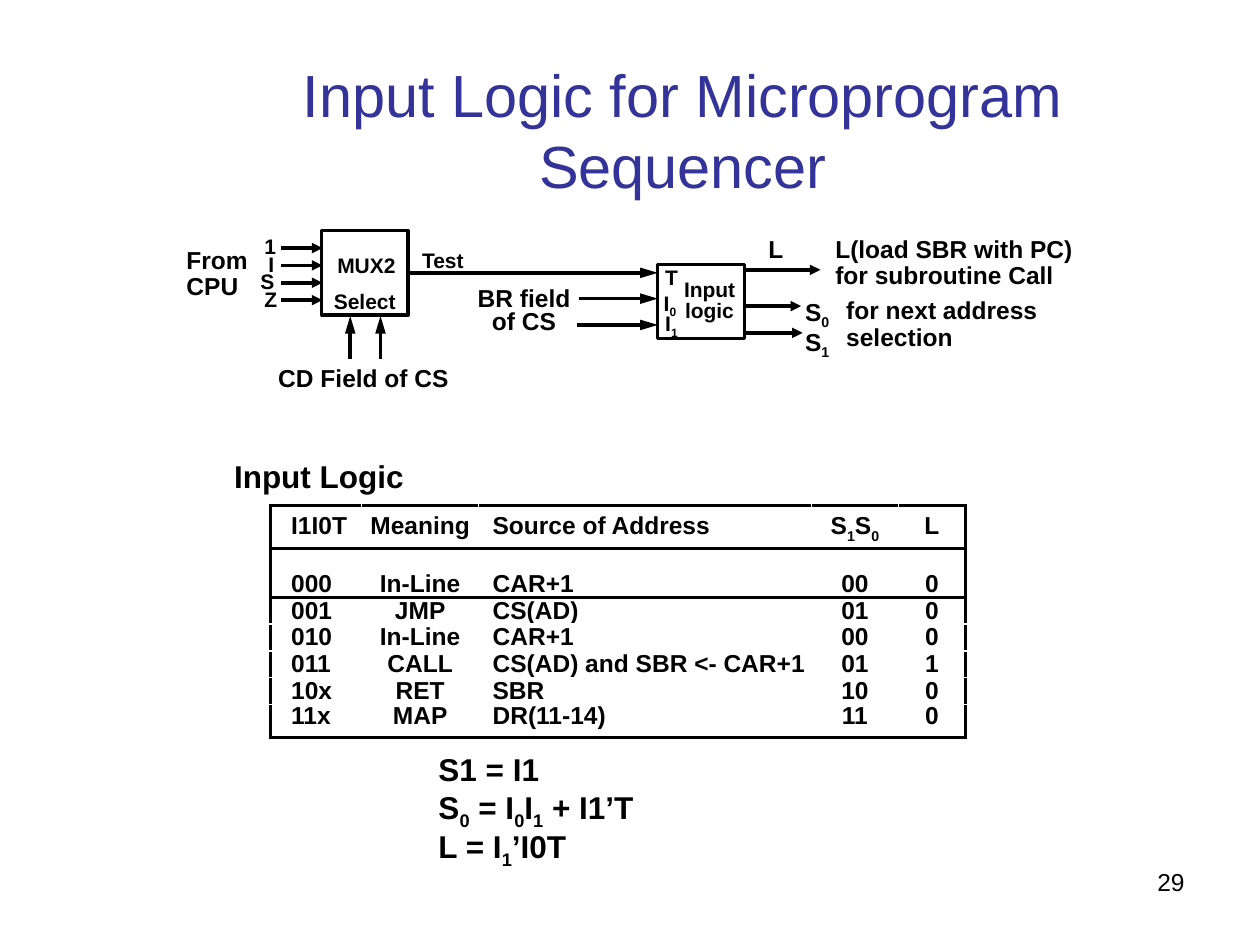
"""Build the slide on the input logic of a microprogram sequencer."""
from lxml import etree
from pptx import Presentation
from pptx.dml.color import RGBColor
from pptx.enum.shapes import MSO_CONNECTOR, MSO_SHAPE
from pptx.enum.text import MSO_ANCHOR, MSO_AUTO_SIZE, PP_ALIGN
from pptx.oxml.ns import qn
from pptx.util import Cm, Pt

RECT = MSO_SHAPE.RECTANGLE
LINE = MSO_CONNECTOR.STRAIGHT
LEFT, MID, RIGHT = PP_ALIGN.LEFT, PP_ALIGN.CENTER, PP_ALIGN.RIGHT
TOP, CENTRE, BOTTOM = MSO_ANCHOR.TOP, MSO_ANCHOR.MIDDLE, MSO_ANCHOR.BOTTOM
FIT, FIXED = MSO_AUTO_SIZE.SHAPE_TO_FIT_TEXT, MSO_AUTO_SIZE.NONE
COLORS = {"ink": "000000", "title": "333399", "paper": "FFFFFF"}
STROKE = Pt(2)

NOTES = [
    ((3.51, 4.88, 1.88, 1.32), ["From", "CPU"], {}),
    ((6.55, 5.03, 1.68, 0.71), ["MUX2"], {"size": 12}),
    ((6.48, 5.74, 1.75, 0.71), ["Select"], {"size": 12}),
    ((8.26, 4.93, 1.37, 0.71), ["Test"], {"size": 12}),
    ((5.36, 7.26, 3.94, 0.79), ["CD Field of CS"], {"align": MID}),
    ((9.37, 5.69, 2.39, 1.19), ["BR field", "of CS"], {"align": MID, "gap": 0.8}),
    ((13.16, 5.26, 0.76, 0.71), ["T"], {"size": 12}),
    ((13.13, 5.74, 0.76, 0.76), ["I_0"], {"size": 12}),
    ((13.16, 6.15, 0.79, 0.76), ["I_1"], {"size": 12}),
    ((13.54, 5.51, 1.55, 0.71), ["Input"], {"size": 12}),
    ((13.56, 5.94, 1.5, 0.71), ["logic"], {"size": 12}),
    ((15.24, 4.65, 0.81, 0.79), ["L"], {}),
    ((16.59, 4.65, 5.64, 1.32), ["L(load SBR with PC) for subroutine Call"], {"wrap": True}),
    ((15.98, 5.87, 0.99, 1.47), ["S_0", "S_1"], {}),
    ((16.81, 5.89, 4.37, 1.32), ["for next address", "selection"], {}),
    ((4.47, 9.17, 3.94, 0.94), ["Input Logic"], {"size": 18}),
    ((8.59, 15.09, 4.45, 2.49),
     ["S1 = I1", "S_0 = I_0I_1 + I1’T", "L = I_1’I0T"], {"size": 18}),
    ((18.21, 17.35, 5.92, 1.32), ["29"],
     {"align": RIGHT, "bold": False, "gap": 1.0, "wrap": True}),
]
PINS = [("1", 5.08, 0.74), ("I", 5.16, 0.61), ("S", 5.0, 0.79), ("Z", 5.08, 0.76)]
WIRES = [
    ((11.68, 6.02), (13.26, 6.02), "lg"),
    ((11.63, 6.55), (13.26, 6.55), "lg"),
    ((7.06, 7.24), (7.06, 6.37), "lg"),
    ((7.67, 7.24), (7.67, 6.37), "lg"),
    ((15.01, 5.44), (16.54, 5.44), "med"),
    ((15.01, 6.17), (16.15, 6.17), "med"),
    ((15.01, 6.71), (16.18, 6.71), "med"),
]
ROWS = [
    ("I1I0T", "Meaning", "Source of Address", "S_1S_0", "L"),
    ("000", "In-Line", "CAR+1", "00", "0"),
    ("001", "JMP", "CS(AD)", "01", "0"),
    ("010", "In-Line", "CAR+1", "00", "0"),
    ("011", "CALL", "CS(AD) and SBR <- CAR+1", "01", "1"),
    ("10x", "RET", "SBR", "10", "0"),
    ("11x", "MAP", "DR(11-14)", "11", "0"),
]
COLS = [(1.83, LEFT, 0.41), (2.36, MID, 0), (6.71, LEFT, 0.28), (1.75, MID, 0), (1.35, MID, 0)]
TALL = [0.86, 0.99] + [0.54] * 4 + [0.66]


def rgb(name):
    return RGBColor.from_string(COLORS[name])


def style(font, size, bold, color="ink"):
    looks = {"name": "Arial", "size": Pt(size), "bold": bold}
    for key, value in looks.items():
        setattr(font, key, value)
    font.color.rgb = rgb(color)


def write(para, text, size, bold=True):
    head, *tails = text.split("_")
    parts = [(head, False)]
    for tail in tails:
        parts += [(tail[0], True), (tail[1:], False)]
    for part, low in parts:
        if part:
            run = para.add_run()
            run.text = part
            style(run.font, size, bold)
            if low:
                run.font._element.set("baseline", "-25000")


def label(slide, box, lines, size=14, align=LEFT, gap=0.9, wrap=False, bold=True):
    frame = slide.shapes.add_textbox(*map(Cm, box)).text_frame
    frame.word_wrap = wrap
    frame.auto_size = FIT
    for i, text in enumerate(lines):
        para = frame.add_paragraph() if i else frame.paragraphs[0]
        para.alignment = align
        para.line_spacing = gap
        write(para, text, size, bold)


def block(slide, *box):
    shape = slide.shapes.add_shape(RECT, *map(Cm, box))
    shape.shadow.inherit = False
    shape.fill.background()
    shape.line.color.rgb = rgb("ink")
    shape.line.width = STROKE
    return shape


def arrow(slide, start, end, length="med"):
    wire = slide.shapes.add_connector(LINE, *map(Cm, start + end))
    wire.line.color.rgb = rgb("ink")
    wire.line.width = STROKE
    props = wire._element.spPr
    etree.SubElement(props.find(qn("a:ln")), qn("a:tailEnd"),
                     type="triangle", w="med", len=length)
    etree.SubElement(props, qn("a:effectLst"))
    return wire


def edge(cell, side):
    line = etree.SubElement(cell._tc.get_or_add_tcPr(), qn("a:ln" + side), w=str(STROKE))
    fill = etree.SubElement(line, qn("a:solidFill"))
    etree.SubElement(fill, qn("a:srgbClr"), val=COLORS["ink"])


def grid(slide, left, top):
    wide = sum(col[0] for col in COLS)
    frame = slide.shapes.add_table(
        len(ROWS), len(COLS), Cm(left), Cm(top), Cm(wide), Cm(sum(TALL)))
    table = frame.table
    table.first_row = table.horz_banding = False
    for col, (width, _, _) in zip(table.columns, COLS):
        col.width = Cm(width)
    last, end = len(ROWS) - 1, len(COLS) - 1
    for r, words in enumerate(ROWS):
        table.rows[r].height = Cm(TALL[r])
        for c, (text, (_, align, inset)) in enumerate(zip(words, COLS)):
            cell = table.cell(r, c)
            sides = {"L": c == 0, "R": c == end, "T": r < 2, "B": r in (0, last)}
            for side, drawn in sides.items():
                if drawn:
                    edge(cell, side)
            cell.fill.solid()
            cell.fill.fore_color.rgb = rgb("paper")
            looks = {"margin_left": Cm(inset), "margin_right": 0,
                     "margin_top": 0, "margin_bottom": 0,
                     "vertical_anchor": {0: CENTRE, last: TOP}.get(r, BOTTOM)}
            for key, value in looks.items():
                setattr(cell, key, value)
            para = cell.text_frame.paragraphs[0]
            para.alignment = align
            para.line_spacing = 0.9
            write(para, text, 14)


def heading(slide, text, *box):
    title = slide.shapes.title
    for key, value in zip(("left", "top", "width", "height"), box):
        setattr(title, key, Cm(value))
    frame = title.text_frame
    frame.text = text
    frame.auto_size = FIXED
    frame.vertical_anchor = CENTRE
    frame.paragraphs[0].alignment = MID
    style(frame.paragraphs[0].runs[0].font, 34, False, "title")


def main():
    deck = Presentation()
    deck.slide_width, deck.slide_height = Cm(25.4), Cm(19.05)
    slide = deck.slides.add_slide(deck.slide_layouts[5])
    heading(slide, "Input Logic for Microprogram Sequencer", 2.97, 1.47, 21.59, 2.26)
    mux = block(slide, 6.48, 4.65, 1.75, 1.7)
    block(slide, 13.26, 5.33, 1.75, 1.5)
    arrow(slide, (8.23, 5.5), (13.26, 5.5), "lg").begin_connect(mux, 3)
    for i, (name, left, width) in enumerate(PINS):
        drop = 0.35 * i
        label(slide, (left, 4.65 + drop, width, 0.71), [name], 12)
        arrow(slide, (5.67, 5 + drop), (6.5, 5 + drop))
    for start, end, length in WIRES:
        arrow(slide, start, end, length)
    for box, lines, looks in NOTES:
        label(slide, box, lines, **looks)
    grid(slide, 5.46, 10.19)
    deck.save("out.pptx")


if __name__ == "__main__":
    main()
